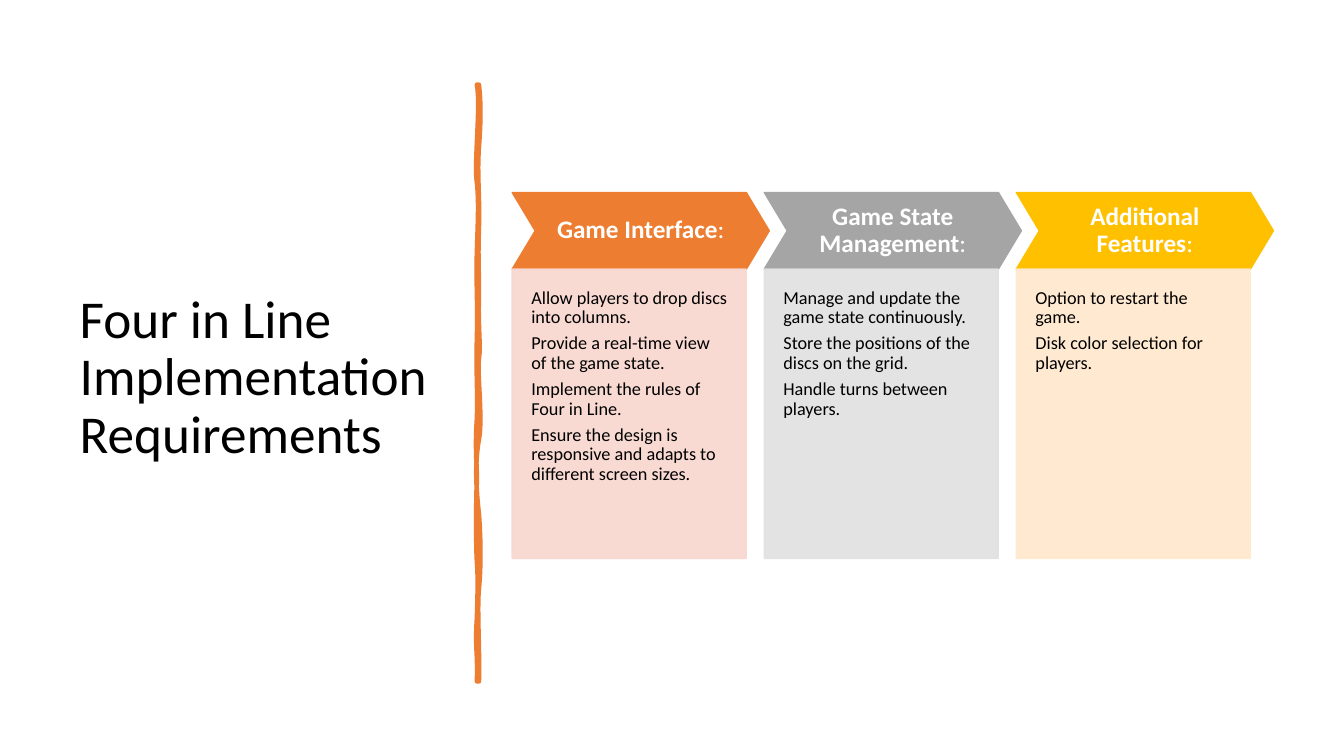
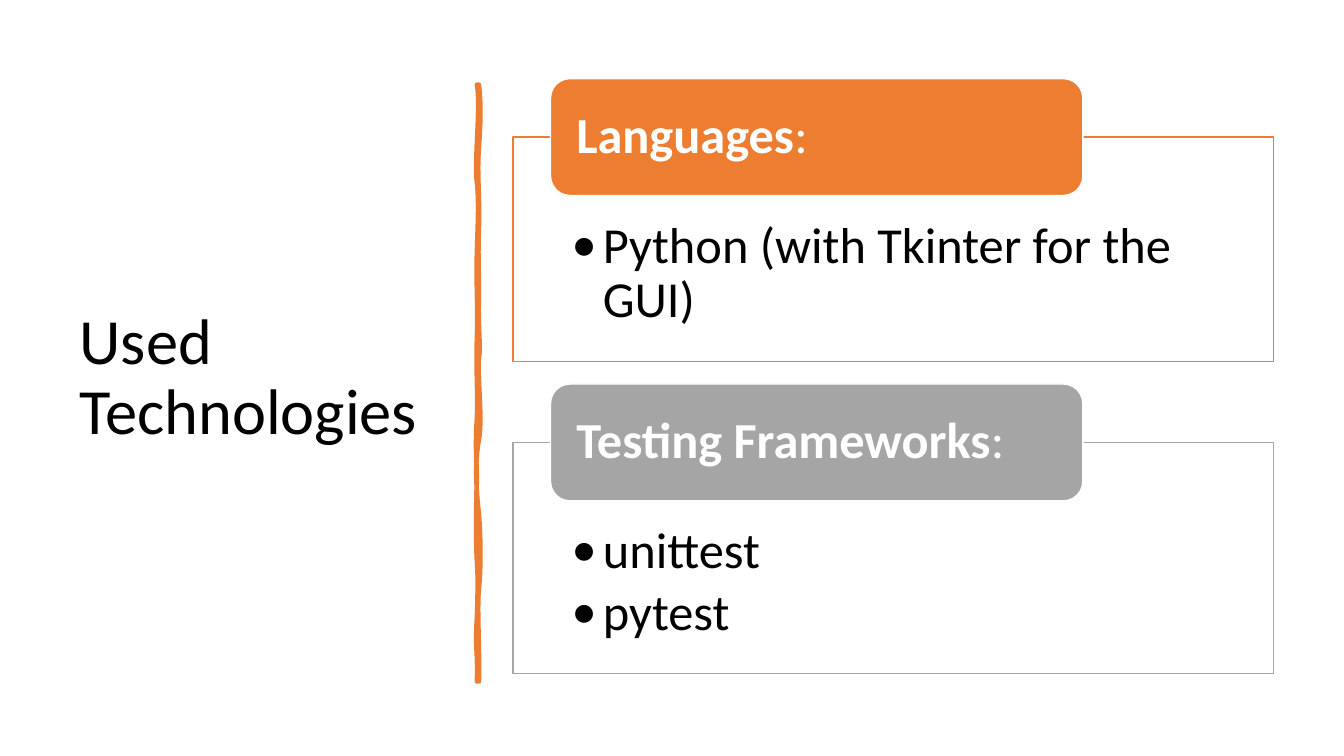
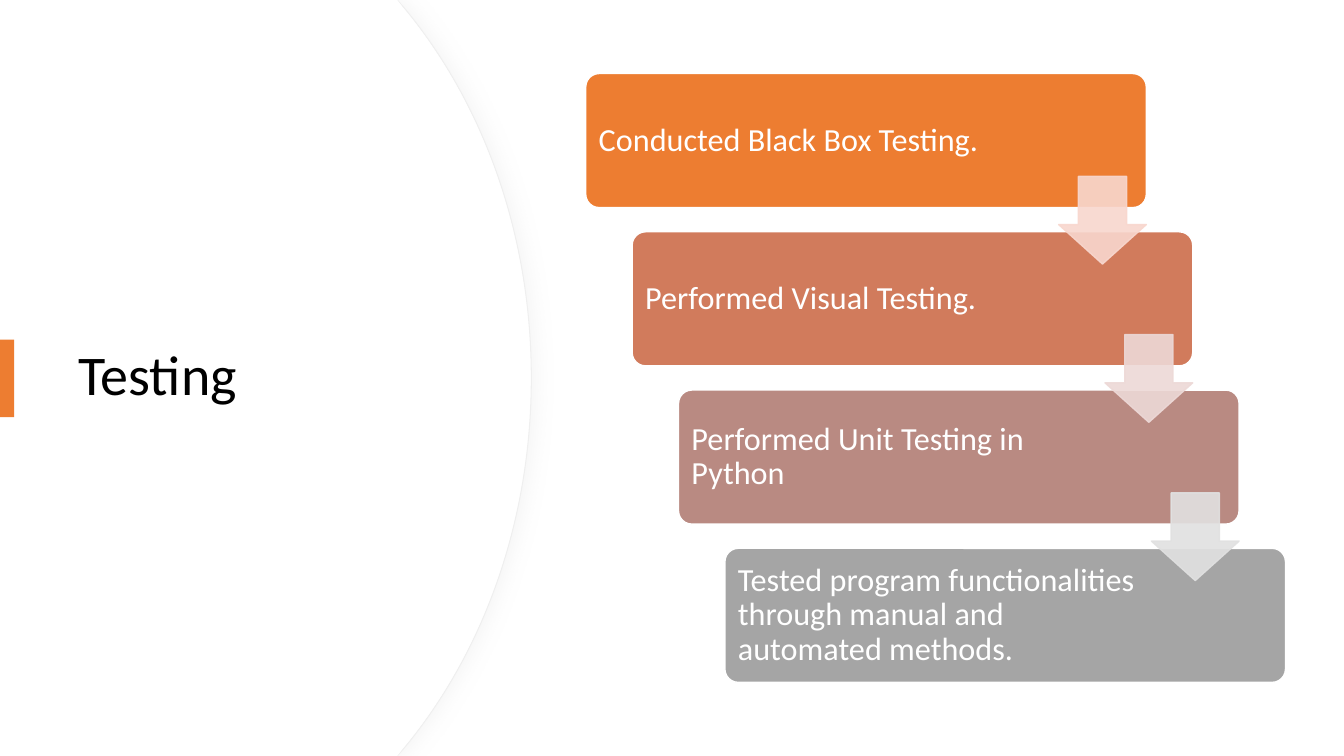
from dataclasses import dataclass

from lxml.etree import SubElement as Sub
from pptx import Presentation
from pptx.dml.color import RGBColor as Rgb
from pptx.enum.shapes import MSO_SHAPE as Kind
from pptx.enum.text import MSO_ANCHOR as Anchor, MSO_AUTO_SIZE as Auto, PP_ALIGN as Align
from pptx.oxml.ns import qn
from pptx.util import Inches, Pt


@dataclass(frozen=True)
class Theme:
    font: str = "Calibri"
    orange: str = "ED7D31"
    gray: str = "A5A5A5"
    gold: str = "FFC000"
    clay: str = "D17B5C"
    rose: str = "B98A82"
    blush: str = "F8D7CE"
    mauve: str = "EDD9D7"
    mist: str = "E1E1E1"
    cream: str = "FFE8CC"
    rim: str = "EFEFEF"
    shade: str = "D9D9D9"
    white: str = "FFFFFF"
    black: str = "000000"
    card: int = 13
    head: int = 18
    step: int = 23
    item: int = 36
    spacing: float = 0.9


look = Theme()


def box(slide, kind, place, fill, line=None, adjust=(), alpha=None):
    shape = slide.shapes.add_shape(kind, *map(Inches, place))
    shape.shadow.inherit = False
    shape.fill.solid()
    shape.fill.fore_color.rgb = Rgb.from_string(fill)
    if line:
        shape.line.color.rgb = Rgb.from_string(line)
        shape.line.width = Pt(1)
    else:
        shape.line.fill.background()
    for spot, value in enumerate(adjust):
        shape.adjustments[spot] = value
    if alpha:
        for color in shape._element.spPr.iter(qn("a:srgbClr")):
            if color.get("val") == fill:
                Sub(color, qn("a:alpha"), val=str(alpha * 1000))
    return shape


def write(shape, lines, size, color, pad, anchor=Anchor.MIDDLE, align=Align.LEFT,
          after=0, label=False, bullet=False):
    frame = shape.text_frame
    frame.word_wrap = True
    frame.auto_size = Auto.NONE
    frame.vertical_anchor = anchor
    (frame.margin_left, frame.margin_top,
     frame.margin_right, frame.margin_bottom) = map(Inches, pad)
    frame.text = "\n".join(lines)
    for para in frame.paragraphs:
        para.alignment = align
        para.line_spacing = look.spacing
        para.space_before = Pt(0)
        para.space_after = Pt(after)
        if label:
            para.runs[0].font.bold = True
            para.add_run().text = ":"
        for run in para.runs:
            run.font.name = look.font
            run.font.size = Pt(size)
            run.font.color.rgb = Rgb.from_string(color)
        if bullet:
            para.level = 1
            props = para._p.get_or_add_pPr()
            props.set("marL", str(Inches(0.31)))
            props.set("indent", str(Inches(-0.31)))
            Sub(props, qn("a:buFont"), typeface=look.font)
            Sub(props, qn("a:buChar"), char="•")


curves = {
    "stroke": [
        (4.75, 0.84),
        (4.77, 1.02, 4.77, 1.19, 4.75, 1.46), (4.73, 1.73, 4.76, 1.95, 4.75, 2.26),
        (4.74, 2.57, 4.75, 2.62, 4.75, 2.94), (4.74, 3.25, 4.77, 3.42, 4.75, 3.56),
        (4.73, 3.7, 4.79, 4.14, 4.75, 4.36), (4.71, 4.57, 4.72, 4.84, 4.75, 5.1),
        (4.77, 5.36, 4.77, 5.64, 4.75, 5.84), (4.73, 6.03, 4.76, 6.5, 4.75, 6.76),
        (4.74, 6.76, 4.73, 6.76, 4.73, 6.76), (4.74, 6.46, 4.71, 6.44, 4.73, 6.13),
        (4.74, 5.83, 4.74, 5.7, 4.73, 5.57), (4.72, 5.44, 4.72, 4.95, 4.73, 4.77),
        (4.73, 4.59, 4.71, 4.45, 4.73, 4.15), (4.74, 3.86, 4.72, 3.73, 4.73, 3.35),
        (4.74, 2.98, 4.72, 2.81, 4.73, 2.5), (4.74, 2.18, 4.75, 2, 4.73, 1.81),
        (4.7, 1.63, 4.77, 1.04, 4.73, 0.84), (4.74, 0.84, 4.74, 0.84, 4.75, 0.84),
    ],
    "disc": [
        (0, 0), (3.94, 0), (4.01, 0.08),
        (4.79, 1.02, 5.27, 2.32, 5.27, 3.75), (5.27, 5.18, 4.79, 6.48, 4.01, 7.42),
        (3.94, 7.5), (0, 7.5),
    ],
    "cover": [
        (0, 0), (3.94, 0), (4, 0.08),
        (4.78, 1.02, 5.26, 2.32, 5.26, 3.75), (5.26, 5.18, 4.78, 6.48, 4, 7.42),
        (3.94, 7.5), (0, 7.5),
    ],
}

deck = Presentation()
deck.slide_width = Inches(13.33)
deck.slide_height = Inches(7.5)

wide = (0.69, 0.7, 3.74, 6.11)
rule = [("stroke", look.orange, look.orange, 3.25)]
moon = [("disc", look.white, look.rim, 0.75), ("cover", look.white, None, 0)]
plan = [
    ("Four in Line Implementation Requirements", 38, wide, rule),
    ("Used Technologies", 46, wide, rule),
    ("Testing", 40, (0.68, 1.27, 3.94, 4.95), moon),
]
slides = []
for text, size, place, forms in plan:
    slide = deck.slides.add_slide(deck.slide_layouts[5])
    slides.append(slide)
    title = slide.shapes.title
    title.left, title.top, title.width, title.height = map(Inches, place)
    write(title, [text], size, look.black, (0.1, 0.05, 0.1, 0.05))
    for name, fill, line, weight in forms:
        start, *parts = curves[name]
        maker = slide.shapes.build_freeform(*map(Inches, start))
        maker.add_line_segments([tuple(map(Inches, part[-2:])) for part in parts], close=True)
        form = maker.convert_to_shape()
        edges = list(form._element.spPr.iter(qn("a:lnTo")))
        for edge, part in zip(edges, parts):
            if len(part) == 6:
                edge.tag = qn("a:cubicBezTo")
                edge.clear()
                for x, y in zip(part[::2], part[1::2]):
                    Sub(edge, qn("a:pt"), x=str(Inches(x) - form.left), y=str(Inches(y) - form.top))
        form.shadow.inherit = False
        form.fill.solid()
        form.fill.fore_color.rgb = Rgb.from_string(fill)
        if line:
            form.line.color.rgb = Rgb.from_string(line)
            form.line.width = Pt(weight)
            Sub(form._element.spPr.find(qn("a:ln")), qn("a:round"))
        else:
            form.line.fill.background()
        if name == "disc":
            glow = Sub(form._element.spPr.find(qn("a:effectLst")), qn("a:outerShdw"),
                       blurRad=str(Pt(14)), dist=str(Pt(3)), dir="0")
            tint = Sub(glow, qn("a:srgbClr"), val=look.shade)
            Sub(tint, qn("a:alpha"), val="25000")
    slide.shapes._spTree.append(title._element)

needs, tools, tests = slides

cards = [
    ("Game Interface", look.orange, look.blush, [
        "Allow players to drop discs into columns.",
        "Provide a real-time view of the game state.",
        "Implement the rules of Four in Line.",
        "Ensure the design is responsive and adapts to different screen sizes.",
    ]),
    ("Game State Management", look.gray, look.mist, [
        "Manage and update the game state continuously.",
        "Store the positions of the discs on the grid.",
        "Handle turns between players.",
    ]),
    ("Additional Features", look.gold, look.cream, [
        "Option to restart the game.",
        "Disk color selection for players.",
    ]),
]
for col, (name, color, pale, lines) in enumerate(cards):
    left = 5.08 + 2.5 * col
    head = box(needs, Kind.CHEVRON, (left, 1.91, 2.55, 0.76), color, color, [0.3])
    write(head, [name], look.head, look.white, [0.09] * 4, align=Align.CENTER, label=True)
    body = box(needs, Kind.RECTANGLE, (left, 2.67, 2.32, 2.87), pale, pale, alpha=90)
    write(body, lines, look.card, look.black, (0.19, 0.19, 0.18, 0.37), Anchor.TOP, after=4.5)

groups = [
    ("Languages", look.orange, 1.36, 2.23, ["Python (with Tkinter for the GUI)"]),
    ("Testing Frameworks", look.gray, 4.39, 2.29, ["unittest", "pytest"]),
]
for name, color, top, height, lines in groups:
    body = box(tools, Kind.RECTANGLE, (5.09, top, 7.54, height), look.white, color, alpha=90)
    write(body, lines, look.item, look.black, (0.58, 0.82, 0.59, 0.28), Anchor.TOP,
          after=5.4, bullet=True)
    tab = box(tools, Kind.ROUNDED_RECTANGLE, (5.46, top - 0.58, 5.28, 1.16), color, look.white)
    write(tab, [name], look.item, look.white, (0.2, 0, 0.2, 0), label=True)

box(tests, Kind.RECTANGLE, (0, 3.37, 0.14, 0.77), look.orange)
steps = [
    ("Conducted Black Box Testing.", look.orange),
    ("Performed Visual Testing.", look.clay),
    ("Performed Unit Testing in Python", look.rose),
    ("Tested program functionalities through manual and automated methods.", look.gray),
]
for row, (text, color) in enumerate(steps):
    step = box(tests, Kind.ROUNDED_RECTANGLE, (5.81 + 0.46 * row, 0.73 + 1.57 * row, 5.56, 1.33),
               color, look.white, [0.1])
    write(step, [text], look.step, look.white, (0.09, 0.1, 1.43, 0.1))
for row, color in enumerate([look.blush, look.mauve, look.mist]):
    box(tests, Kind.DOWN_ARROW, (10.5 + 0.46 * row, 1.75 + 1.57 * row, 0.87, 0.87),
        color, color, [0.55, 0.45], 90)

deck.save("out.pptx")
